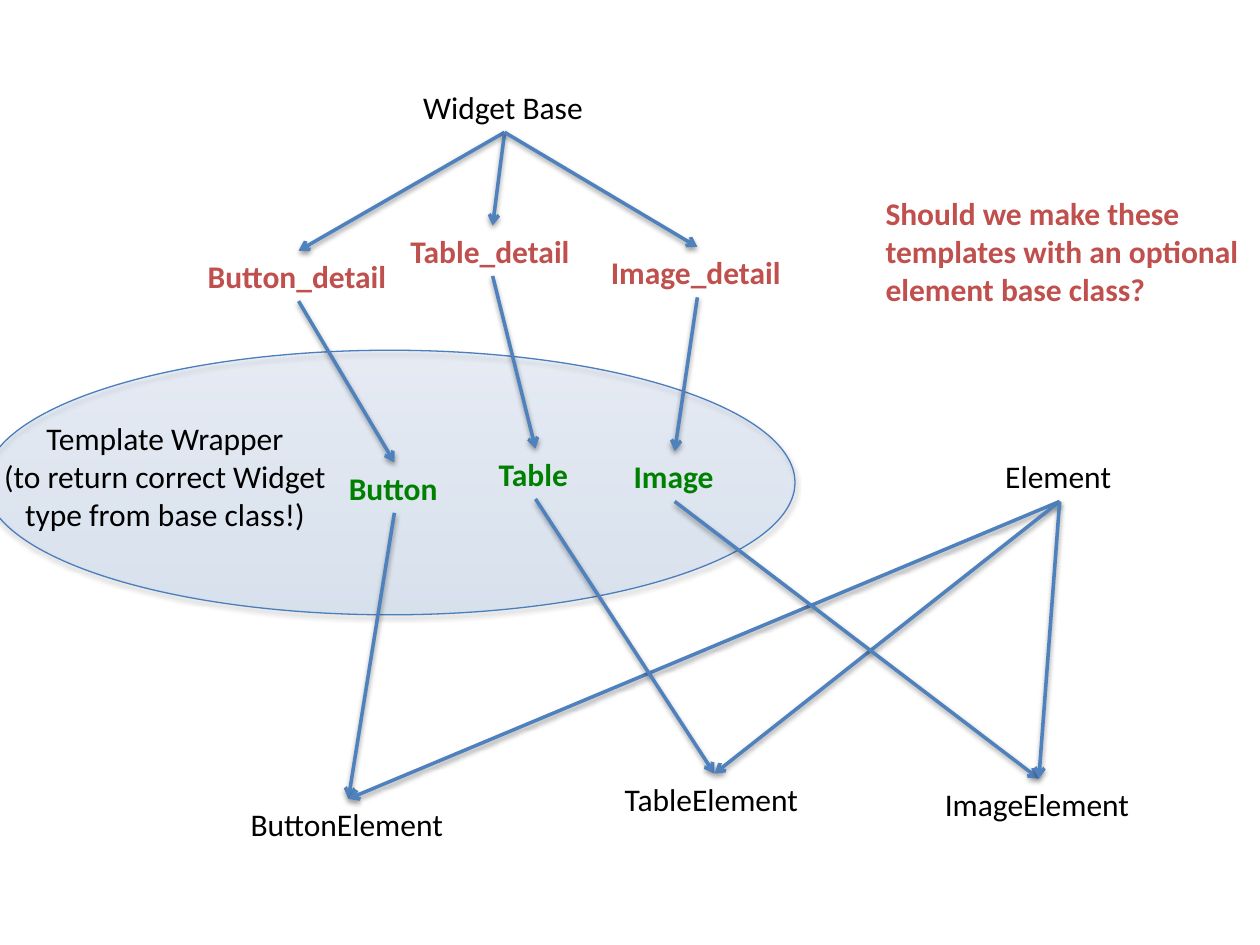
from dataclasses import dataclass

from lxml import etree
from pptx import Presentation
from pptx import util as u
from pptx.dml.color import RGBColor
from pptx.enum import shapes, text
from pptx.oxml import ns


@dataclass(frozen=True)
class Theme:
    font: str = "Calibri"
    size: float = 18
    plain: str = "000000"
    detail: str = "C0504D"
    widget: str = "008000"
    arrow: str = "4F81BD"
    outline: str = "4B7EBC"
    gradient: tuple = ("3F80CE", "A4C4FF")
    gradient_alpha: int = 15
    shadow_color: str = "000000"


def add_xml(parent, tag, **attributes):
    values = {name: str(value) for name, value in attributes.items()}
    return etree.SubElement(parent, ns.qn(tag), values)


class Diagram:
    TOP, BOTTOM = 0, 2

    def __init__(self, slide, theme):
        self.shapes = slide.shapes
        self.theme = theme

    def shadow(self, effects, alpha, distance):
        outer = add_xml(effects, "a:outerShdw", blurRad=u.Pt(3.1), dist=u.Pt(distance),
                        dir=90 * 60000, rotWithShape=0)
        color = add_xml(outer, "a:srgbClr", val=self.theme.shadow_color)
        add_xml(color, "a:alpha", val=alpha * 1000)

    def label(self, lines, box, color, bold=False, centered=False, wrap=False):
        label = self.shapes.add_textbox(*map(u.Inches, box))
        frame = label.text_frame
        frame.word_wrap = wrap
        frame.auto_size = text.MSO_AUTO_SIZE.SHAPE_TO_FIT_TEXT
        frame.text = lines
        for paragraph in frame.paragraphs:
            if centered:
                paragraph.alignment = text.PP_ALIGN.CENTER
            font = paragraph.font
            font.name = self.theme.font
            font.size = u.Pt(self.theme.size)
            font.bold = bold
            font.color.rgb = RGBColor.from_string(color)
        return label

    def region(self, box):
        region = self.shapes.add_shape(shapes.MSO_SHAPE.OVAL, *map(u.Inches, box))
        region.fill.gradient()
        region.fill.gradient_angle = 90
        for stop, color in zip(region.fill.gradient_stops, self.theme.gradient):
            stop.color.rgb = RGBColor.from_string(color)
        properties = region._element.spPr
        for color in properties.iter(ns.qn("a:srgbClr")):
            add_xml(color, "a:alpha", val=self.theme.gradient_alpha * 1000)
        region.line.color.rgb = RGBColor.from_string(self.theme.outline)
        region.line.width = u.Pt(0.75)
        region.shadow.inherit = False
        self.shadow(properties.find(ns.qn("a:effectLst")), 35, 1.8)

    def arrow(self, parent, child):
        arrow = self.shapes.add_connector(shapes.MSO_CONNECTOR.STRAIGHT, 0, 0, 0, 0)
        arrow.begin_connect(parent, self.BOTTOM)
        arrow.end_connect(child, self.TOP)
        arrow.line.color.rgb = RGBColor.from_string(self.theme.arrow)
        arrow.line.width = u.Pt(2)
        add_xml(arrow.line._get_or_add_ln(), "a:tailEnd", type="arrow")
        self.shadow(add_xml(arrow._element.spPr, "a:effectLst"), 38, 1.6)


deck = Presentation()
deck.slide_width, deck.slide_height = u.Inches(10), u.Inches(7.5)
theme = Theme()
diagram = Diagram(deck.slides.add_slide(deck.slide_layouts[6]), theme)

diagram.region((-0.12, 2.78, 6.43, 2.1))
diagram.label("Template Wrapper\n(to return correct Widget\ntype from base class!)",
              (-0.09, 3.28, 2.8, 1.01), theme.plain, centered=True)

CLASSES = {
    "Widget Base": (3.26, 0.65, 1.49, theme.plain),
    "Button_detail": (1.55, 1.99, 1.64, theme.detail),
    "Table_detail": (3.16, 1.79, 1.5, theme.detail),
    "Image_detail": (4.75, 1.96, 1.57, theme.detail),
    "Element": (7.88, 3.58, 1.06, theme.plain),
    "Button": (2.67, 3.67, 0.92, theme.widget),
    "Table": (3.86, 3.56, 0.78, theme.widget),
    "Image": (4.93, 3.58, 0.85, theme.widget),
    "ButtonElement": (1.89, 6.34, 1.75, theme.plain),
    "TableElement": (4.86, 6.14, 1.62, theme.plain),
    "ImageElement": (7.4, 6.18, 1.69, theme.plain),
}
classes = {
    name: diagram.label(name, (left, top, width, 0.4), color, bold=color != theme.plain)
    for name, (left, top, width, color) in CLASSES.items()
}

for widget in ("Button", "Table", "Image"):
    detail, element = f"{widget}_detail", f"{widget}Element"
    for parent, child in (("Widget Base", detail), (detail, widget),
                          (widget, element), ("Element", element)):
        diagram.arrow(classes[parent], classes[child])

diagram.label("Should we make these templates with an optional element base class?",
              (6.93, 1.49, 3.07, 1.01), theme.detail, bold=True, wrap=True)

deck.save("out.pptx")
